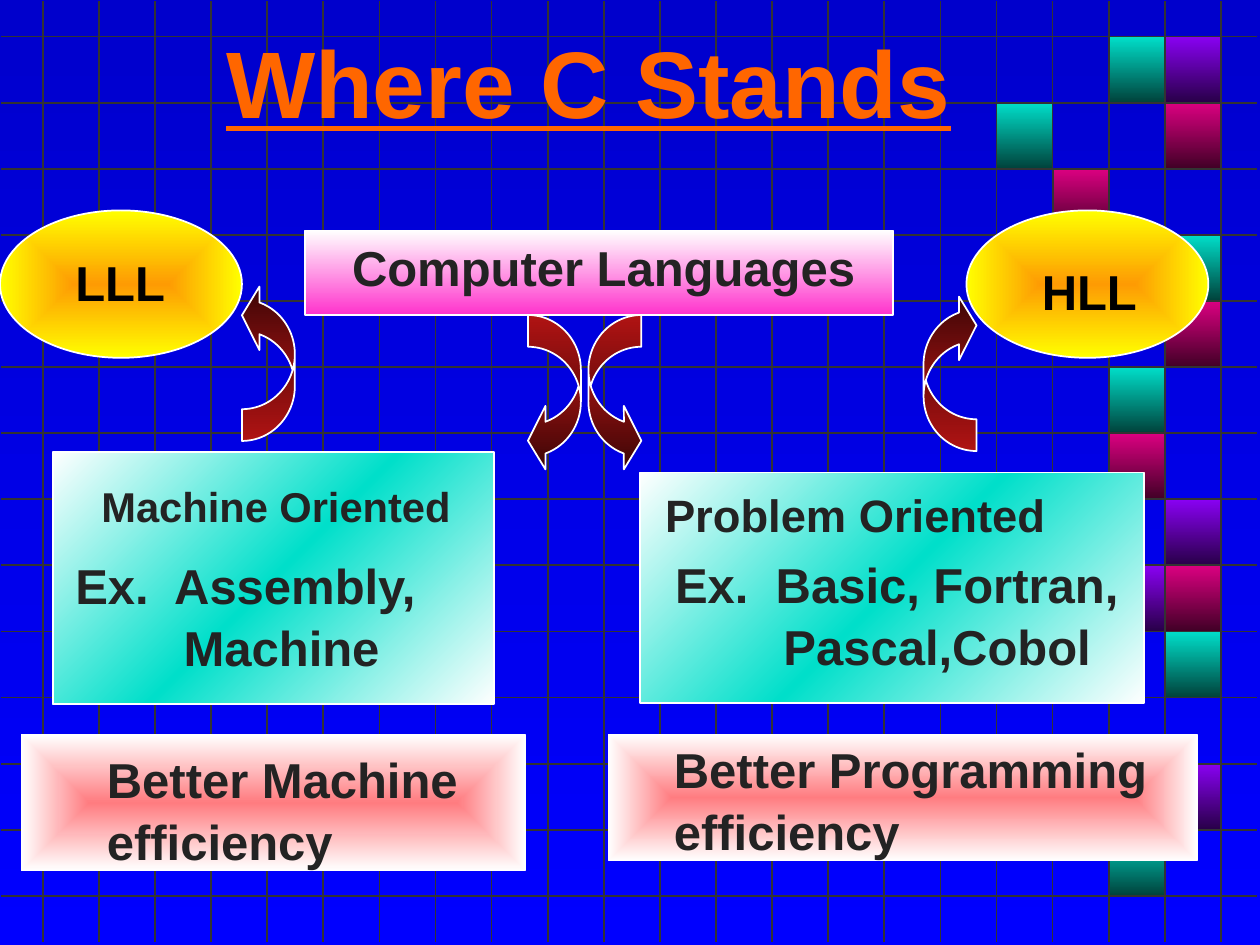
from lxml.etree import SubElement
from pptx import Presentation
from pptx.dml.color import RGBColor
from pptx.enum.shapes import MSO_CONNECTOR, MSO_SHAPE
from pptx.enum.text import MSO_ANCHOR, PP_ALIGN
from pptx.oxml.ns import qn
from pptx.util import Inches, Pt

FONT, INK, BLACK, WHITE, GRID = "Arial", "232323", "000000", "FFFFFF", "333333"
CENTER, LEFT = PP_ALIGN.CENTER, PP_ALIGN.LEFT
TOP, MIDDLE = MSO_ANCHOR.TOP, MSO_ANCHOR.MIDDLE

# Gradients: colours spread evenly, then the angle (None runs out from the centre)
SKY = (["0000CC", "0000FF"], 90)
TEAL = (["00DFCA", "00423B"], 90)
PURPLE = (["8901F3", "280048"], 90)
MAGENTA = (["DC0081", "410026"], 90)
ROSE = (["FF7C80", "FFFFFF"], None)
MINT = (["FFFFFF", "00DFCA", "FFFFFF"], 225)
PINK = (["FFFFFF", "FF33CC"], 90)
GOLD = (["FE9B03", "FFFF00"], None)
RED = (["DC1818", "390606"], 90)

# Grid: first line, last line, number of lines
COLUMNS = (0.34, 9.69, 22)
ROWS = (0.29, 7.11, 14)

# Coloured cells as (column, row)
CELLS = [
    (TEAL, [(19, 0), (17, 1), (20, 3), (19, 5), (20, 9), (19, 12)]),
    (PURPLE, [(20, 0), (19, 3), (20, 7), (19, 8), (20, 11)]),
    (MAGENTA, [(20, 1), (18, 2), (20, 4), (19, 6), (20, 8), (19, 11)]),
]

# Panels: shape, (left, top, width, height), gradient
PANELS = [
    (MSO_SHAPE.RECTANGLE, (4.83, 5.83, 4.67, 1), ROSE),
    (MSO_SHAPE.RECTANGLE, (0.17, 5.83, 4, 1.08), ROSE),
    (MSO_SHAPE.RECTANGLE, (5.08, 3.75, 4, 1.83), MINT),
    (MSO_SHAPE.RECTANGLE, (0.42, 3.59, 3.5, 2), MINT),
    (MSO_SHAPE.RECTANGLE, (2.42, 1.83, 4.67, 0.67), PINK),
    (MSO_SHAPE.OVAL, (0, 1.67, 1.92, 1.17), GOLD),
    (MSO_SHAPE.OVAL, (7.67, 1.67, 1.92, 1.17), GOLD),
]

# Arrows: shape, left, top, points up
ARROWS = [
    (MSO_SHAPE.CURVED_LEFT_ARROW, 4.19, 2.5, False),
    (MSO_SHAPE.CURVED_RIGHT_ARROW, 4.67, 2.5, False),
    (MSO_SHAPE.CURVED_LEFT_ARROW, 1.92, 2.25, True),
    (MSO_SHAPE.CURVED_RIGHT_ARROW, 7.33, 2.33, True),
]

# Texts: box, size, colour, alignment, anchor, [(text, indent)]
TEXTS = [
    ((0.42, -0.01, 8.5, 1.26), 54, "FF6600", CENTER, MIDDLE, [("Where C Stands", 0)]),
    ((2.08, 1.86, 5.42, 0.5), 28, INK, CENTER, MIDDLE, [("Computer Languages", 0)]),
    ((0.5, 1.93, 1.1, 0.57), 28, BLACK, LEFT, TOP, [("LLL", 0)]),
    ((8.17, 2, 1.1, 0.57), 28, BLACK, LEFT, TOP, [("HLL", 0)]),
    ((0.19, 3.75, 4, 0.51), 23.8, INK, CENTER, TOP, [("Machine Oriented", 0)]),
    ((5.18, 3.8, 3.9, 0.54), 25.9, INK, LEFT, TOP, [("Problem Oriented", 0)]),
    ((0.5, 4.34, 3.05, 1.04), 28, INK, LEFT, TOP,
     [("Ex.  Assembly,", 0), ("Machine", 0.86)]),
    ((5.26, 4.33, 3.82, 1.04), 28, INK, LEFT, TOP,
     [("Ex.  Basic, Fortran,", 0), ("Pascal,Cobol", 0.86)]),
    ((0.75, 5.88, 3.55, 1.04), 28, INK, LEFT, TOP, [("Better Machine efficiency", 0)]),
    ((5.25, 5.8, 4.75, 1.04), 28, INK, LEFT, TOP, [("Better Programming efficiency", 0)]),
]


def color(value):
    """Turn a hex string into a colour."""
    return RGBColor.from_string(value)


def paint(fill, holder, gradient):
    """Give the fill kept in the holder element a gradient."""
    stops, angle = gradient
    fill.solid()
    solid = holder.find(qn("a:solidFill"))
    grad = holder.makeelement(qn("a:gradFill"), {"rotWithShape": "1"})
    holder.replace(solid, grad)
    stop_list = SubElement(grad, qn("a:gsLst"))
    for i, value in enumerate(stops):
        stop = SubElement(stop_list, qn("a:gs"), pos=str(i * 100000 // (len(stops) - 1)))
        SubElement(stop, qn("a:srgbClr"), val=value)
    if angle is None:
        center = SubElement(grad, qn("a:path"), {"path": "rect"})
        SubElement(center, qn("a:fillToRect"), dict.fromkeys("ltrb", "50000"))
    else:
        SubElement(grad, qn("a:lin"), ang=str(angle * 60000), scaled="0")


def add_panel(shapes, kind, box, gradient, outline=WHITE):
    """Add an outlined shape with a gradient."""
    shape = shapes.add_shape(kind, *map(Inches, box))
    shape.shadow.inherit = False
    paint(shape.fill, shape.element.spPr, gradient)
    shape.line.color.rgb = color(outline)
    shape.line.width = Pt(1)
    return shape


def add_line(shapes, *ends):
    """Add one grid line."""
    line = shapes.add_connector(MSO_CONNECTOR.STRAIGHT, *map(Inches, ends))
    line.line.color.rgb = color(GRID)
    line.line.width = Pt(1)
    SubElement(line.element.spPr, qn("a:effectLst"))


def spread(first, last, count):
    """Return evenly spaced positions."""
    return [first + i * (last - first) / (count - 1) for i in range(count)]


def add_grid(shapes):
    """Draw the background grid and its coloured cells."""
    xs, ys = spread(*COLUMNS), spread(*ROWS)
    for y in ys:
        add_line(shapes, 0.01, y, 9.98, y)
    for x in xs:
        add_line(shapes, x, 0.01, x, 7.48)
    for gradient, cells in CELLS:
        for column, row in cells:
            box = (xs[column], ys[row], xs[1] - xs[0], ys[1] - ys[0])
            add_panel(shapes, MSO_SHAPE.RECTANGLE, box, gradient, GRID)


def add_arrow(shapes, kind, left, top, points_up):
    """Add a curved arrow."""
    arrow = add_panel(shapes, kind, (left, top, 0.42, 1.25), RED)
    for i, value in enumerate((0.6, 1.2, 0.33)):
        arrow.adjustments[i] = value
    if points_up:
        arrow.element.spPr.find(qn("a:xfrm")).set("flipV", "1")


def add_text(shapes, box, size, ink, align, anchor, lines):
    """Add a bold text box, one paragraph for each line."""
    frame = shapes.add_textbox(*map(Inches, box)).text_frame
    frame.word_wrap = True
    frame.vertical_anchor = anchor
    for i, (text, indent) in enumerate(lines):
        para = frame.add_paragraph() if i else frame.paragraphs[0]
        para.alignment = align
        para.line_spacing = 1.05
        if indent:
            para._p.get_or_add_pPr().set("marL", str(Inches(indent)))
        span = para.add_run()
        span.text = text
        span.font.name = FONT
        span.font.size = Pt(size)
        span.font.bold = True
        span.font.underline = size == 54
        span.font.color.rgb = color(ink)


deck = Presentation()
deck.slide_width, deck.slide_height = Inches(10), Inches(7.5)
page = deck.slides.add_slide(deck.slide_layouts[6])
background = page.background.fill
background.solid()
paint(background, page.element.find(".//" + qn("p:bgPr")), SKY)

add_grid(page.shapes.add_group_shape().shapes)
for panel in PANELS:
    add_panel(page.shapes, *panel)
for arrow_spec in ARROWS:
    add_arrow(page.shapes, *arrow_spec)
for text_spec in TEXTS:
    add_text(page.shapes, *text_spec)

deck.save("out.pptx")
